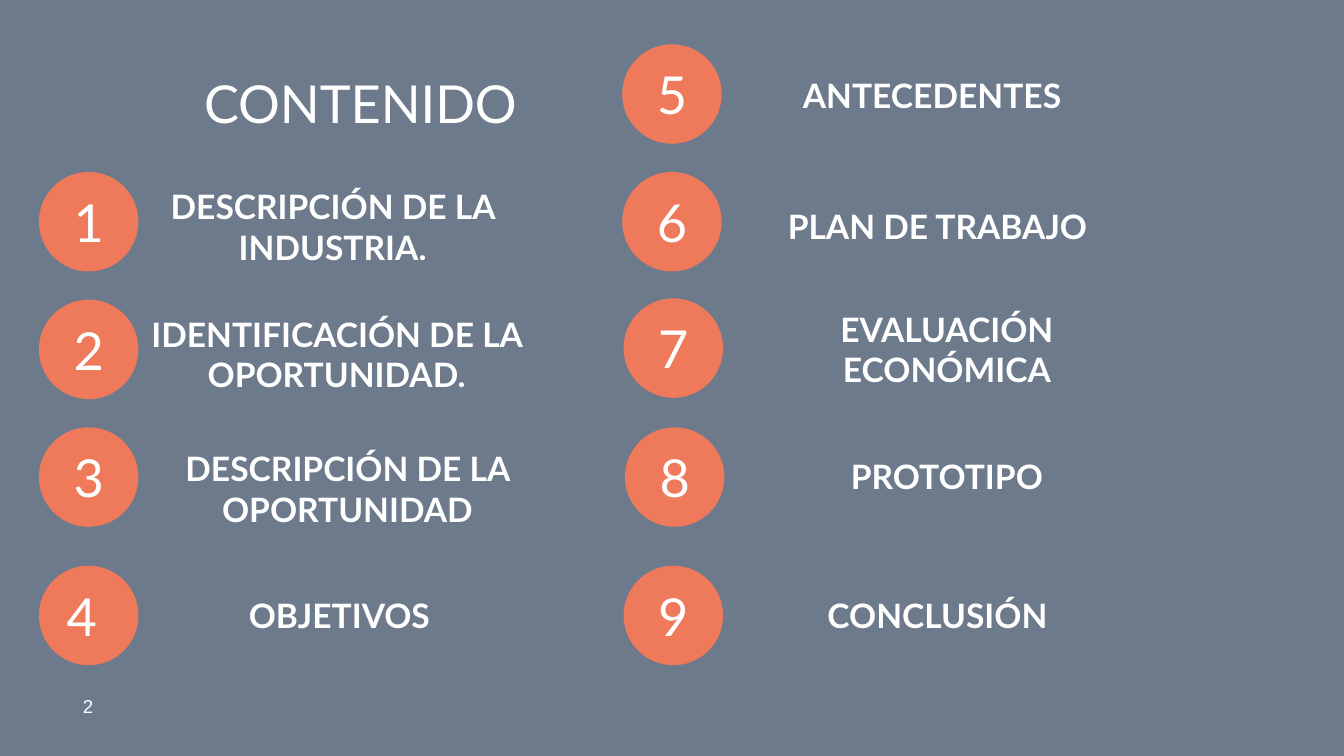
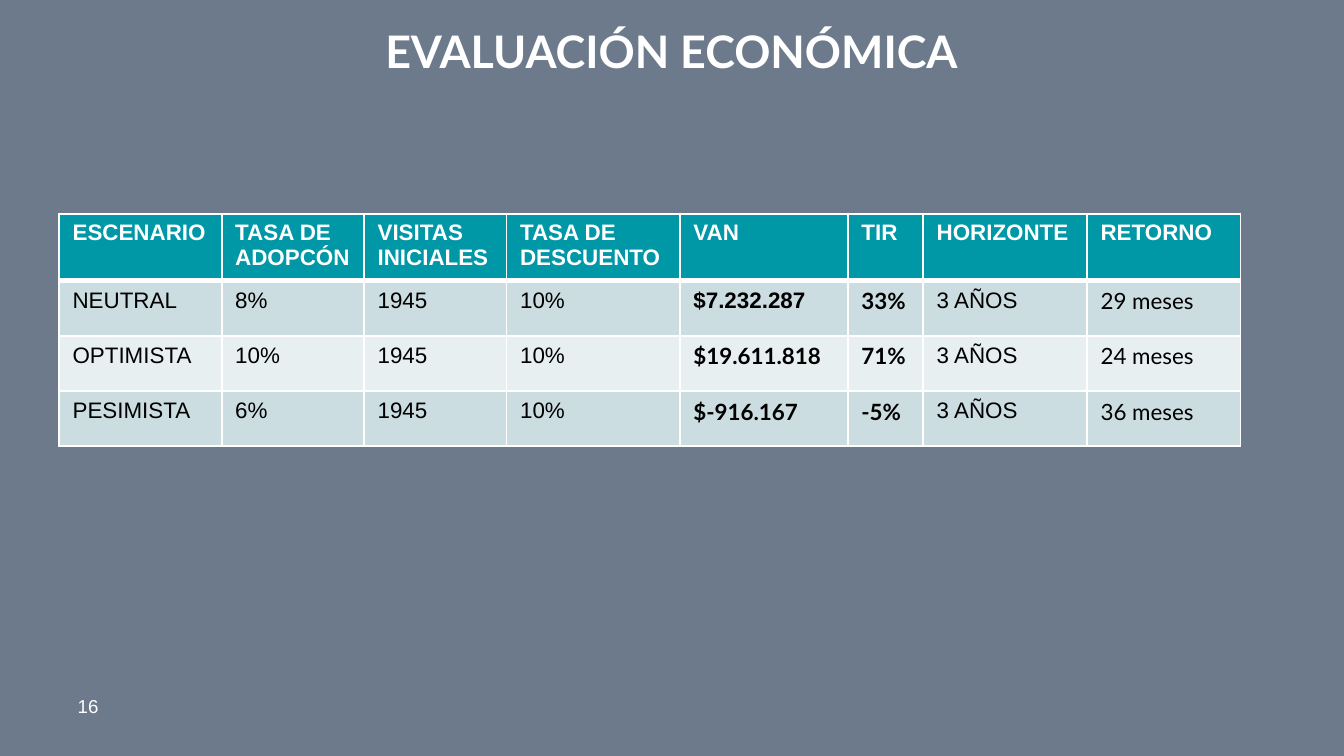
from lxml import etree
from pptx import Presentation
from pptx.dml.color import RGBColor
from pptx.enum.shapes import MSO_SHAPE
from pptx.enum.text import MSO_ANCHOR, PP_ALIGN
from pptx.oxml.ns import qn
from pptx.util import Inches, Pt

RECT, OVAL = MSO_SHAPE.RECTANGLE, MSO_SHAPE.OVAL
TOP, MIDDLE = MSO_ANCHOR.TOP, MSO_ANCHOR.MIDDLE
LEFT, CENTER = PP_ALIGN.LEFT, PP_ALIGN.CENTER

WHITE = RGBColor(0xFF, 0xFF, 0xFF)
BLACK = RGBColor(0x00, 0x00, 0x00)
SLATE = RGBColor(0x56, 0x65, 0x79)
CORAL = RGBColor(0xEE, 0x79, 0x5B)
TEAL = RGBColor(0x00, 0x97, 0xA7)
BANDS = (RGBColor(0xCC, 0xDD, 0xE1), RGBColor(0xE7, 0xEF, 0xF1))

LATO, ARIAL = "Lato", "Arial"
WIDE = 10
HIGH = WIDE * 9 / 16
DISC = 0.74
LABEL = (3.21, 0.29)

# Agenda: first number, then (circle left, circle top, topic, label left, label top)
AGENDA = (
    (0.29, 1.28, "DESCRIPCIÓN DE LA INDUSTRIA.", 0.87, 1.54),
    (0.29, 2.23, "IDENTIFICACIÓN DE LA OPORTUNIDAD.", 0.90, 2.49),
    (0.29, 3.18, "DESCRIPCIÓN DE LA OPORTUNIDAD", 0.98, 3.49),
    (0.29, 4.21, "OBJETIVOS", 0.92, 4.43),
    (4.63, 0.33, "ANTECEDENTES", 5.33, 0.56),
    (4.63, 1.28, "PLAN DE TRABAJO", 5.37, 1.54),
    (4.64, 2.22, "EVALUACIÓN ECONÓMICA", 5.44, 2.45),
    (4.65, 3.18, "PROTOTIPO", 5.44, 3.40),
    (4.64, 4.21, "CONCLUSIÓN", 5.37, 4.43),
)

HEADS = ("ESCENARIO", "TASA DE ADOPCÓN", "VISITAS INICIALES",
         "TASA DE DESCUENTO", "VAN", "TIR", "HORIZONTE", "RETORNO")
CASES = (
    ("NEUTRAL", "8%", "1945", "10%", "$7.232.287", "33%", "3 AÑOS", "29 meses"),
    ("OPTIMISTA", "10%", "1945", "10%", "$19.611.818", "71%", "3 AÑOS", "24 meses"),
    ("PESIMISTA", "6%", "1945", "10%", "$-916.167", "-5%", "3 AÑOS", "36 meses"),
)
COLS = (1.21, 1.06, 1.06, 1.29, 1.25, 0.56, 1.22, 1.14)
VAN, TIR, BACK = 4, 5, 7


def style(par, size, name=LATO, color=WHITE, bold=False, align=CENTER):
    par.alignment = align
    font = par.font
    font.size, font.name, font.bold = Pt(size), name, bold
    font.color.rgb = color


def write(shape, text, size, anchor=MIDDLE, inset=(0.1, 0.1), **look):
    frame = shape.text_frame
    frame.word_wrap = True
    frame.vertical_anchor = anchor
    frame.margin_left = frame.margin_right = Inches(inset[0])
    frame.margin_top = frame.margin_bottom = Inches(inset[1])
    frame.text = text
    style(frame.paragraphs[0], size, **look)


def label(slide, box, text, size, **look):
    area = slide.shapes.add_textbox(*map(Inches, box))
    write(area, text, size, **look)


def solid(slide, kind, box, color):
    shape = slide.shapes.add_shape(kind, *map(Inches, box))
    shape.shadow.inherit = False
    shape.fill.solid()
    shape.fill.fore_color.rgb = color
    shape.line.fill.background()
    return shape


def page(deck, number):
    """Blank slide with the shared slate veil and page number."""
    slide = deck.slides.add_slide(deck.slide_layouts[6])
    veil = solid(slide, RECT, (0, 0, WIDE, HIGH), SLATE)
    tint = veil.element.spPr.find(".//" + qn("a:srgbClr"))
    etree.SubElement(tint, qn("a:alpha"), val="86000")
    label(slide, (0.44, 5.14, 0.43, 0.22), str(number), 10, name=ARIAL)
    return slide


def topic(slide, number, left, top, text, *corner):
    disc = solid(slide, OVAL, (left, top, DISC, DISC), CORAL)
    write(disc, str(number), 28, align=LEFT if number == 4 else CENTER)
    label(slide, (*corner, *LABEL), text, 18, bold=True)


def agenda(deck):
    slide = page(deck, 2)
    label(slide, (1.42, 0.48, 3.21, 0.57), "CONTENIDO", 28,
          anchor=TOP, inset=(0.1, 0.05), align=LEFT)
    for number, item in enumerate(AGENDA, 1):
        topic(slide, number, *item)


def border(cell, top, bottom):
    props = cell._tc.get_or_add_tcPr()
    for side, width in (("L", 1), ("R", 1), ("T", top), ("B", bottom)):
        line = etree.SubElement(props, qn("a:ln" + side), w=str(Pt(width)))
        paint = etree.SubElement(line, qn("a:solidFill"))
        etree.SubElement(paint, qn("a:srgbClr"), val=str(WHITE))


def fill_cell(cell, row, col, text):
    head = row == 0
    border(cell, 3 if row == 1 else 1, 3 if head else 1)
    cell.fill.solid()
    cell.fill.fore_color.rgb = TEAL if head else BANDS[(row - 1) % 2]
    cell.text = text
    lato = col in (TIR, BACK) and row > 0 or col == VAN and row > 1
    style(cell.text_frame.paragraphs[0], 12, LATO if lato else ARIAL,
          WHITE if head else BLACK, head or col in (VAN, TIR), LEFT)


def grid(slide, left, top):
    rows = (HEADS, *CASES)
    highs = (0.46, *[0.41] * len(CASES))
    box = (left, top, sum(COLS), sum(highs))
    table = slide.shapes.add_table(len(rows), len(COLS), *map(Inches, box)).table
    for col, width in zip(table.columns, COLS):
        col.width = Inches(width)
    for row, texts in enumerate(rows):
        table.rows[row].height = Inches(highs[row])
        for col, text in enumerate(texts):
            fill_cell(table.cell(row, col), row, col, text)


def review(deck):
    slide = page(deck, 16)
    label(slide, (1.92, 0.08, 6.15, 0.68), "EVALUACIÓN ECONÓMICA", 24,
          anchor=TOP, bold=True)
    grid(slide, 0.44, 1.59)


def main():
    deck = Presentation()
    deck.slide_width, deck.slide_height = Inches(WIDE), Inches(HIGH)
    agenda(deck)
    review(deck)
    deck.save("out.pptx")


if __name__ == "__main__":
    main()
